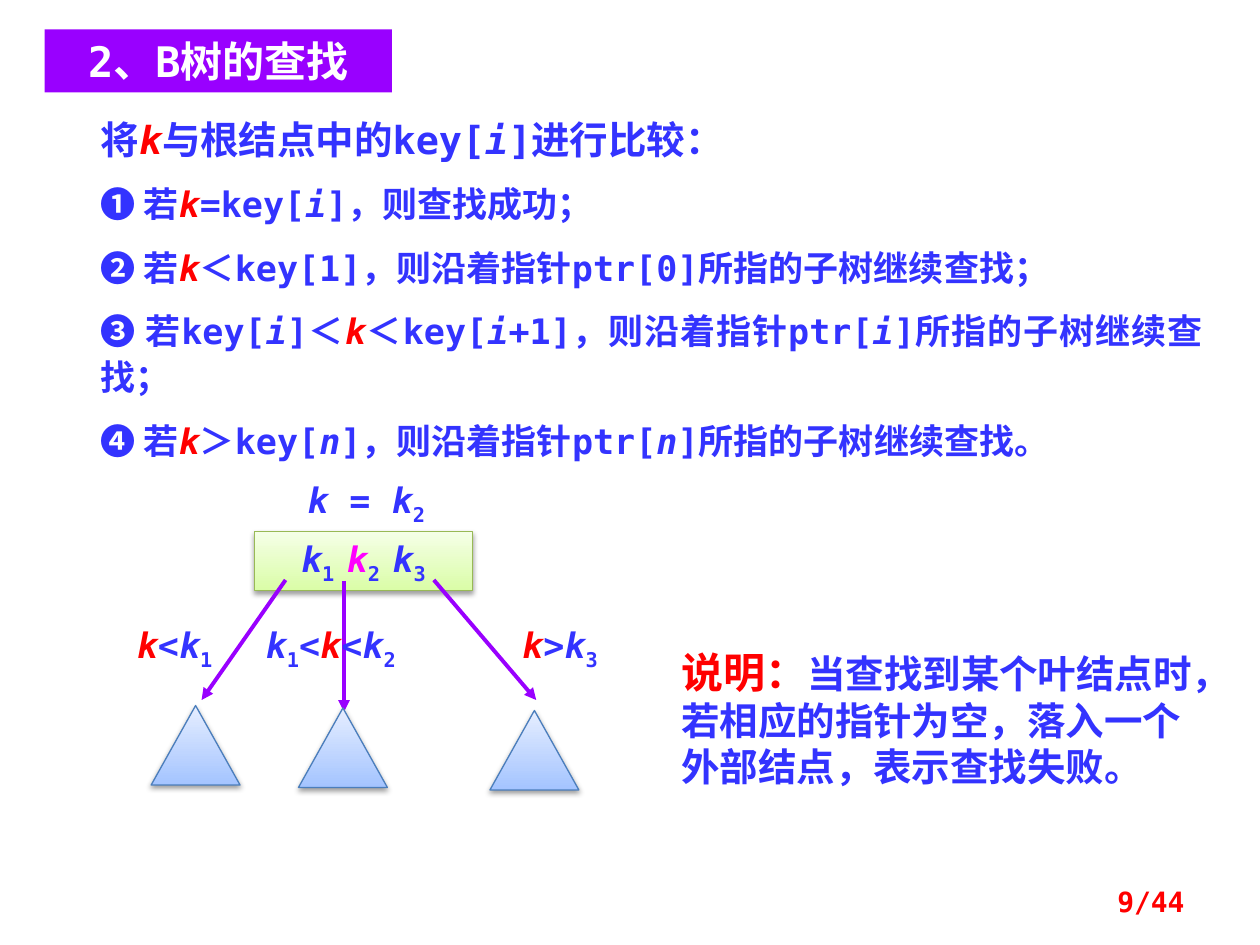
"""Build the slide on searching a B-tree."""
from lxml import etree
from pptx import Presentation
from pptx.dml.color import RGBColor
from pptx.enum.shapes import MSO_CONNECTOR, MSO_SHAPE
from pptx.enum.text import MSO_ANCHOR, MSO_AUTO_SIZE, PP_ALIGN
from pptx.oxml import parse_xml
from pptx.oxml.ns import nsdecls, qn
from pptx.util import Pt

RECT, CONE = MSO_SHAPE.RECTANGLE, MSO_SHAPE.ISOSCELES_TRIANGLE
LINE = MSO_CONNECTOR.STRAIGHT
LEFT, MID, RIGHT, FULL = PP_ALIGN.LEFT, PP_ALIGN.CENTER, PP_ALIGN.RIGHT, PP_ALIGN.JUSTIFY
CENTRE, NOFIT = MSO_ANCHOR.MIDDLE, MSO_AUTO_SIZE.NONE

THEME = {
    "font": "DejaVu Sans Mono",
    "blue": "3333FF", "red": "FF0000", "pink": "FF00FF",
    "violet": "9900FF", "white": "FFFFFF",
    "green": ("DAFDA7", "F5FFE7", "98B955"),
    "sky": ("A4C4FF", "E6EEFF", "4B7EBC"),
    "head": 24, "lead": 22, "body": 20, "foot": 16,
}
MARKS = {"%": None, "~": "red", "^": "pink", "_": None}
SHADOW = (
    f'<a:effectLst {nsdecls("a")}><a:outerShdw blurRad="40000" dist="20000" '
    'dir="5400000" rotWithShape="0"><a:srgbClr val="000000">'
    '<a:alpha val="38000"/></a:srgbClr></a:outerShdw></a:effectLst>'
)


def write(para, text, size, tone="blue", align=LEFT):
    """Fill a paragraph; % ~ ^ slant the next letter, _ lowers it."""
    para.alignment = align
    font = para.font
    font.name, font.size, font.bold = THEME["font"], Pt(size), True
    font.color.rgb = RGBColor.from_string(THEME[tone])
    parts, mark = [], ""
    for char in text:
        if char in MARKS:
            mark = char
            continue
        if parts and parts[-1][0] == mark:
            parts[-1][1] += char
        else:
            parts.append([mark, char])
        mark = ""
    for mark, piece in parts:
        run = para.add_run()
        run.text = piece
        if mark == "_":
            run.font._element.set("baseline", "-25000")
        elif mark:
            run.font.italic = True
            if MARKS[mark]:
                run.font.color.rgb = RGBColor.from_string(THEME[MARKS[mark]])


def shade(kind, box, tones):
    """Add a shape with an upright gradient and a soft shadow."""
    shape = slide.shapes.add_shape(kind, *map(Pt, box))
    low, high, edge = tones
    shape.fill.gradient()
    shape.fill.gradient_angle = 90
    for stop, tone in zip(shape.fill.gradient_stops, (low, high)):
        stop.color.rgb = RGBColor.from_string(tone)
    shape.line.color.rgb = RGBColor.from_string(edge)
    shape.line.width = Pt(0.75)
    shape._element.spPr.append(parse_xml(SHADOW))
    return shape


deck = Presentation()
deck.slide_width, deck.slide_height = Pt(720), Pt(540)
slide = deck.slides.add_slide(deck.slide_layouts[5])

title = slide.shapes.title
title.left, title.top, title.width, title.height = map(Pt, (25.5, 16.8, 198.5, 36))
title.fill.solid()
title.fill.fore_color.rgb = RGBColor.from_string(THEME["violet"])
frame = title.text_frame
frame.auto_size, frame.vertical_anchor = NOFIT, CENTRE
write(frame.paragraphs[0], "2、B树的查找", THEME["head"], "white", MID)

steps = [
    "将~k与根结点中的key[%i]进行比较：",
    "❶ 若~k=key[%i]，则查找成功；",
    "❷ 若~k＜key[1]，则沿着指针ptr[0]所指的子树继续查找；",
    "❸ 若key[%i]＜~k＜key[%i+1]，则沿着指针ptr[%i]所指的子树继续查找；",
    "❹ 若~k＞key[%n]，则沿着指针ptr[%n]所指的子树继续查找。",
]
frame = slide.shapes.add_textbox(Pt(50.4), Pt(69.8), Pt(643.7), Pt(179.3)).text_frame
frame.word_wrap = True
for row, step in enumerate(steps):
    para = frame.add_paragraph() if row else frame.paragraphs[0]
    para.line_spacing = Pt(26.4) if row else 0.7
    if row:
        para.space_before = Pt(10)
    write(para, step, THEME["body" if row else "lead"], align=FULL)

root = shade(RECT, (145.4, 303.8, 124.6, 33.8), THEME["green"])
frame = root.text_frame
frame.word_wrap, frame.vertical_anchor = False, CENTRE
write(frame.paragraphs[0], "%k_1_ ^k_2_ %k_3", THEME["body"], align=MID)

links = [
    ((196.6, 332, 196.6, 406.8), (170.6, 404.6)),
    ((247.9, 331.4, 306.4, 400), (280, 406)),
    ((163.2, 331.4, 115.2, 400), (86.4, 403.2)),
]
for ends, spot in links:
    link = slide.shapes.add_connector(LINE, *map(Pt, ends))
    link.line.color.rgb = RGBColor.from_string(THEME["violet"])
    link.line.width = Pt(2.25)
    etree.SubElement(link.line._get_or_add_ln(), qn("a:tailEnd"), type="triangle")
    etree.SubElement(link._element.spPr, qn("a:effectLst"))
    shade(CONE, (*spot, 50.8, 45.4), THEME["sky"])

body, lead, foot = THEME["body"], THEME["lead"], THEME["foot"]
notes = [
    ((129.6, 352.8, 118.8, 31.7), "%k_1%<~k%<%k_2", body, "blue", MID),
    ((280, 352.8, 80, 31.7), "~k%>%k_3", body, "blue", MID),
    ((59.8, 352.8, 80, 31.7), "~k%<%k_1", body, "blue", MID),
    ((168.5, 270, 90, 31.7), "%k =% %k_2", body, "blue", LEFT),
    ((516.2, 500.4, 167.8, 28.8), "9/44", foot, "red", RIGHT),
    ((382.3, 365.8, 309.6, 90), "当查找到某个叶结点时，若相应的指针为空，落入一个外部结点，表示查找失败。",
     lead, "blue", LEFT),
]
for box, text, size, tone, align in notes:
    frame = slide.shapes.add_textbox(*map(Pt, box)).text_frame
    frame.word_wrap = True
    para = frame.paragraphs[0]
    if size == foot:
        frame.vertical_anchor = CENTRE
    if size == lead:
        run = para.add_run()
        run.text = "说明："
        run.font.size = Pt(THEME["head"])
        run.font.color.rgb = RGBColor.from_string(THEME["red"])
    write(para, text, size, tone, align)

deck.save("out.pptx")
